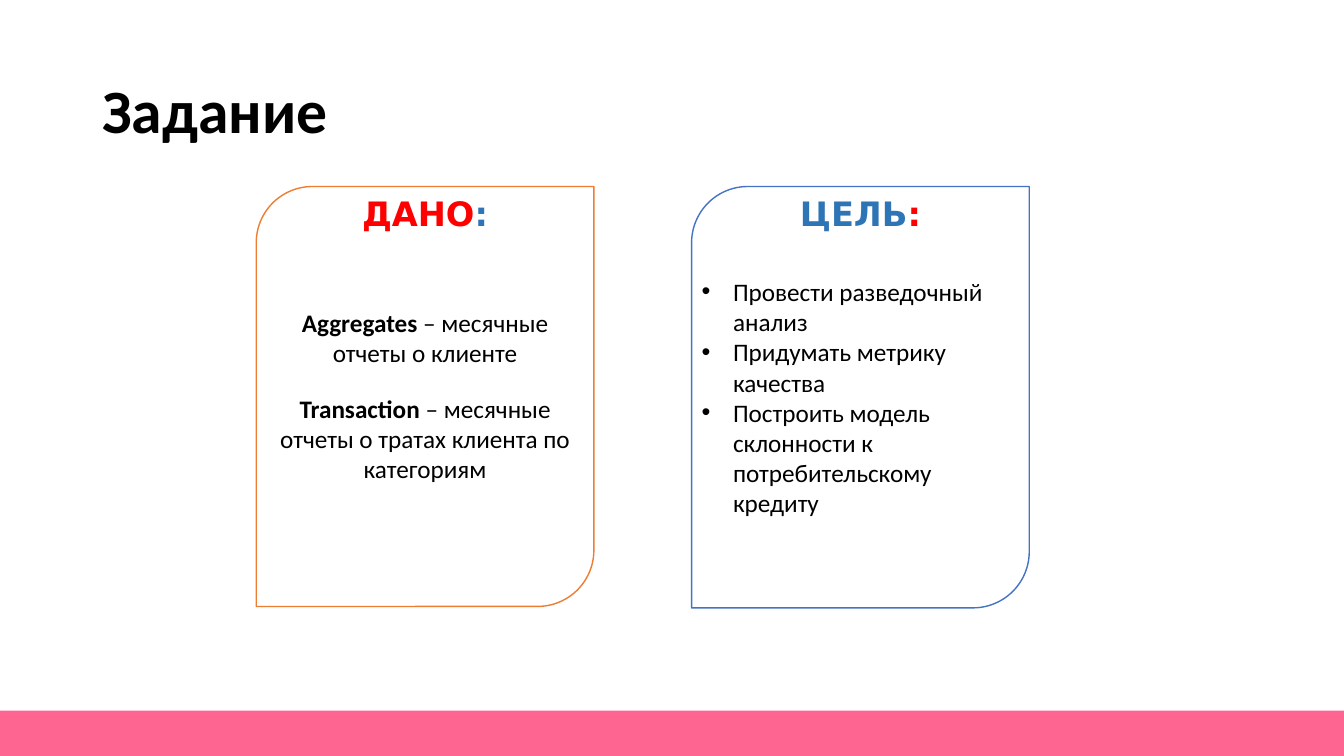
from lxml.etree import SubElement
from pptx import Presentation
from pptx.dml.color import RGBColor
from pptx.enum.shapes import MSO_SHAPE
from pptx.enum.text import MSO_ANCHOR, PP_ALIGN
from pptx.oxml.ns import qn
from pptx.util import Pt

BLACK = RGBColor(0x00, 0x00, 0x00)
WHITE = RGBColor(0xFF, 0xFF, 0xFF)
RED = RGBColor(0xFF, 0x00, 0x00)
BLUE = RGBColor(0x2E, 0x75, 0xB6)
PINK = RGBColor(0xFF, 0x65, 0x91)
ORANGE_LINE = RGBColor(0xED, 0x7D, 0x31)
BLUE_LINE = RGBColor(0x44, 0x72, 0xC4)

TITLE = "Задание"
# Each text: top, bulleted, paragraphs made of (words, bold) runs
CARDS = [
    {"left": 183, "height": 300, "line": ORANGE_LINE,
     "heading": [("ДАНО", RED), (":", BLUE)],
     "texts": [
         (216, False, [[("Aggregates", True), (" – месячные отчеты о клиенте", False)]]),
         (277.2, False, [[("Transaction ", True),
                          ("– месячные отчеты о тратах клиента по категориям", False)]]),
     ]},
    {"left": 494, "height": 301, "line": BLUE_LINE,
     "heading": [("ЦЕЛЬ", BLUE), (":", RED)],
     "texts": [
         (193.7, True, [[("Провести разведочный анализ", False)],
                        [("Придумать метрику качества", False)],
                        [("Построить модель склонности к потребительскому кредиту", False)]]),
     ]},
]

SLIDE_WIDTH, SLIDE_HEIGHT = 960, 540
CARD_TOP, CARD_WIDTH = 133.2, 241.2
FOOTER_TOP = 507.6
BULLET_INDENT = 22.5

deck = Presentation()
deck.slide_width, deck.slide_height = Pt(SLIDE_WIDTH), Pt(SLIDE_HEIGHT)
page = deck.slides.add_slide(deck.slide_layouts[6])


def add_panel(kind, left, top, width, height, fill, line=None):
    panel = page.shapes.add_shape(kind, Pt(left), Pt(top), Pt(width), Pt(height))
    panel.shadow.inherit = False
    panel.fill.solid()
    panel.fill.fore_color.rgb = fill
    if line is None:
        panel.line.fill.background()
    else:
        panel.line.color.rgb = line
        panel.line.width = Pt(1)


def add_text_frame(left, top, width, height):
    box = page.shapes.add_textbox(Pt(left), Pt(top), Pt(width), Pt(height))
    box.text_frame.word_wrap = True
    return box.text_frame


def add_span(para, words, size, color=BLACK, bold=False, font="Calibri"):
    span = para.add_run()
    span.text = words
    span.font.name = font
    span.font.size = Pt(size)
    span.font.bold = bold
    span.font.color.rgb = color


def add_bullet(para):
    properties = para._p.get_or_add_pPr()
    properties.set("marL", str(Pt(BULLET_INDENT)))
    properties.set("indent", str(-Pt(BULLET_INDENT)))
    SubElement(properties, qn("a:buFont"), typeface="Arial")
    SubElement(properties, qn("a:buChar"), char="•")


def add_card(card):
    left = card["left"]
    add_panel(MSO_SHAPE.ROUND_2_DIAG_RECTANGLE, left, CARD_TOP, CARD_WIDTH,
              card["height"], WHITE, card["line"])

    heading = add_text_frame(left, CARD_TOP + 0.7, CARD_WIDTH, 36).paragraphs[0]
    heading.alignment = PP_ALIGN.CENTER
    for words, color in card["heading"]:
        add_span(heading, words, 24, color, True, "DejaVu Sans")

    for top, bulleted, paragraphs in card["texts"]:
        frame = add_text_frame(left, top, CARD_WIDTH, 72)
        for index, spans in enumerate(paragraphs):
            para = frame.add_paragraph() if index else frame.paragraphs[0]
            if bulleted:
                add_bullet(para)
            else:
                para.alignment = PP_ALIGN.CENTER
            for words, bold in spans:
                add_span(para, words, 18, bold=bold)


title_frame = add_text_frame(66, 28.8, 828, 104.4)
title_frame.vertical_anchor = MSO_ANCHOR.MIDDLE
title_frame.paragraphs[0].line_spacing = 0.9
add_span(title_frame.paragraphs[0], TITLE, 44, bold=True)

add_panel(MSO_SHAPE.RECTANGLE, 0, FOOTER_TOP, SLIDE_WIDTH, SLIDE_HEIGHT - FOOTER_TOP, PINK)
for card in CARDS:
    add_card(card)

deck.save("out.pptx")
